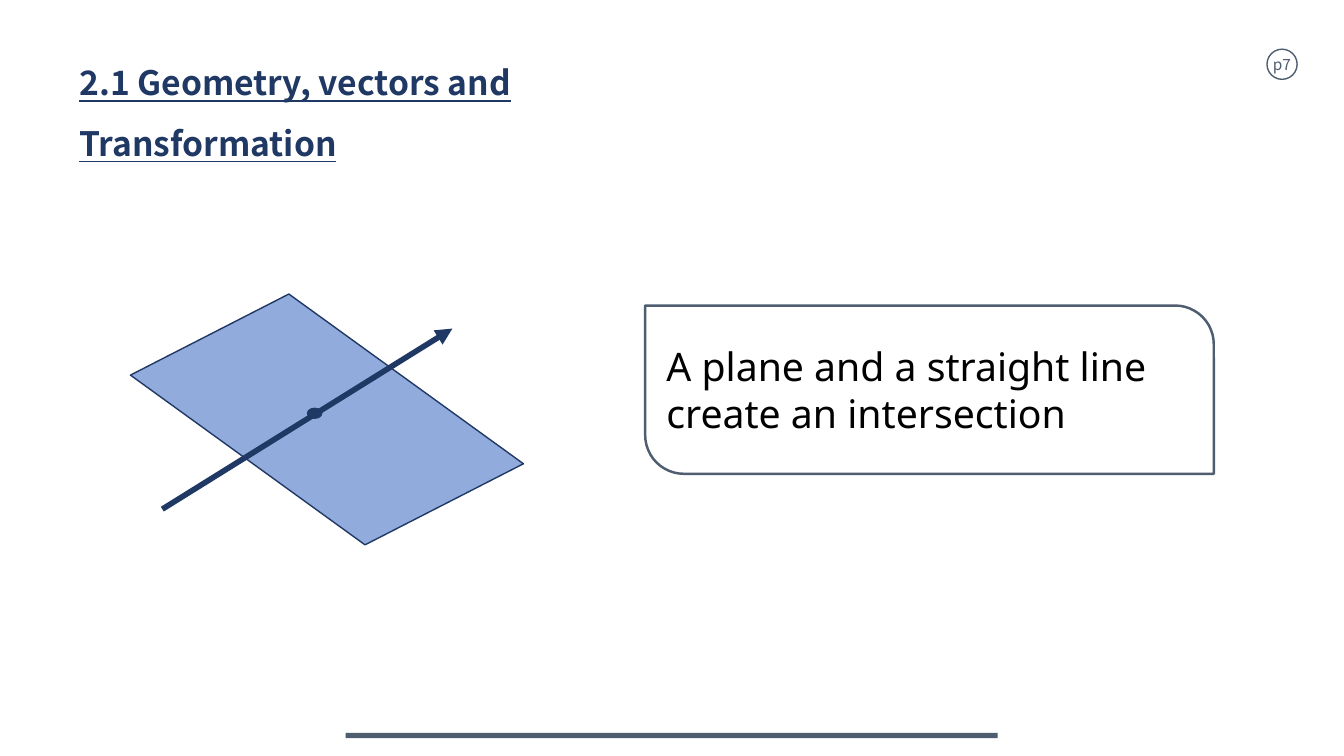
from lxml import etree
from pptx import Presentation
from pptx.dml.color import RGBColor
from pptx.enum.shapes import MSO_CONNECTOR, MSO_SHAPE
from pptx.enum.text import MSO_ANCHOR, PP_ALIGN
from pptx.oxml.ns import qn
from pptx.util import Cm, Pt

RECTANGLE = MSO_SHAPE.RECTANGLE
OVAL = MSO_SHAPE.OVAL
PARALLELOGRAM = MSO_SHAPE.PARALLELOGRAM
ROUND_DIAGONAL = MSO_SHAPE.ROUND_2_DIAG_RECTANGLE
STRAIGHT = MSO_CONNECTOR.STRAIGHT
MIDDLE = MSO_ANCHOR.MIDDLE
LEFT, CENTER = PP_ALIGN.LEFT, PP_ALIGN.CENTER

COLORS = {
    "navy": "203864",
    "slate": "4E5D70",
    "plane": "8FAADC",
    "white": "FFFFFF",
    "black": "000000",
}
HEADING_FONT = "Noto Sans CJK KR"
BODY_FONT = "Noto Sans"


def color(name):
    return RGBColor.from_string(COLORS[name])


def add_figure(page, kind, left, top, width, height, fill, line=None, weight=1):
    shape = page.shapes.add_shape(kind, Cm(left), Cm(top), Cm(width), Cm(height))
    shape.shadow.inherit = False
    shape.fill.solid()
    shape.fill.fore_color.rgb = color(fill)
    if line:
        shape.line.color.rgb = color(line)
        shape.line.width = Pt(weight)
    else:
        shape.line.fill.background()
    return shape


def write(shape, text, font, size, ink, align=LEFT, wrap=True):
    frame = shape.text_frame
    frame.word_wrap = wrap
    frame.text = text
    para = frame.paragraphs[0]
    para.alignment = align
    span = para.runs[0]
    span.font.name = font
    span.font.size = Pt(size)
    span.font.color.rgb = color(ink)
    return para


def add_title(page, text):
    box = page.shapes.add_textbox(Cm(1.75), Cm(0.94), Cm(14.5), Cm(3.12))
    para = write(box, text, HEADING_FONT, 24, "navy")
    para.line_spacing = 1.5
    para.runs[0].font.bold = True
    para.runs[0].font.underline = True


def add_page_badge(page, text):
    badge = add_figure(page, OVAL, 31.93, 1.24, 0.76, 0.76, "white", "slate")
    badge.text_frame.vertical_anchor = MIDDLE
    write(badge, text, HEADING_FONT, 11, "slate", CENTER, wrap=False)


def add_plane(page):
    plane = add_figure(page, PARALLELOGRAM, 4.34, 7.32, 7.8, 6.5, "plane", "navy")
    plane.adjustments[0] = 0.51
    plane.rotation = 332.9
    # Mirror the plane and make it slightly see-through
    properties = plane._element.spPr
    properties.find(qn("a:xfrm")).set("flipH", "1")
    fill_color = properties.find(qn("a:solidFill"))[0]
    etree.SubElement(fill_color, qn("a:alpha")).set("val", "98000")


def add_arrow(page, start_x, start_y, end_x, end_y):
    arrow = page.shapes.add_connector(
        STRAIGHT, Cm(start_x), Cm(start_y), Cm(end_x), Cm(end_y))
    arrow.line.color.rgb = color("navy")
    arrow.line.width = Pt(4)
    properties = arrow._element.spPr
    etree.SubElement(properties.find(qn("a:ln")), qn("a:tailEnd")).set("type", "triangle")
    etree.SubElement(properties, qn("a:effectLst"))


def add_statement(page, text):
    box = add_figure(page, ROUND_DIAGONAL, 16.26, 7.7, 14.33, 4.24,
                     "white", "slate", 1.75)
    box.adjustments[0] = 0
    box.adjustments[1] = 0.23
    box.text_frame.vertical_anchor = MIDDLE
    write(box, text, BODY_FONT, 28, "black")


def main():
    deck = Presentation()
    deck.slide_width, deck.slide_height = Cm(33.87), Cm(19.05)
    page = deck.slides.add_slide(deck.slide_layouts[6])

    # Page frame
    add_figure(page, RECTANGLE, 8.71, 18.47, 16.43, 0.13, "slate")
    add_title(page, "2.1 Geometry, vectors and Transformation")
    add_page_badge(page, "p7")

    # Line crossing the plane at a point
    add_plane(page)
    add_arrow(page, 4.09, 12.83, 11.4, 8.28)
    add_figure(page, OVAL, 7.75, 10.29, 0.36, 0.25, "navy", "navy")

    # Explanation
    add_statement(page, "A plane and a straight line create an intersection")

    deck.save("out.pptx")


if __name__ == "__main__":
    main()
